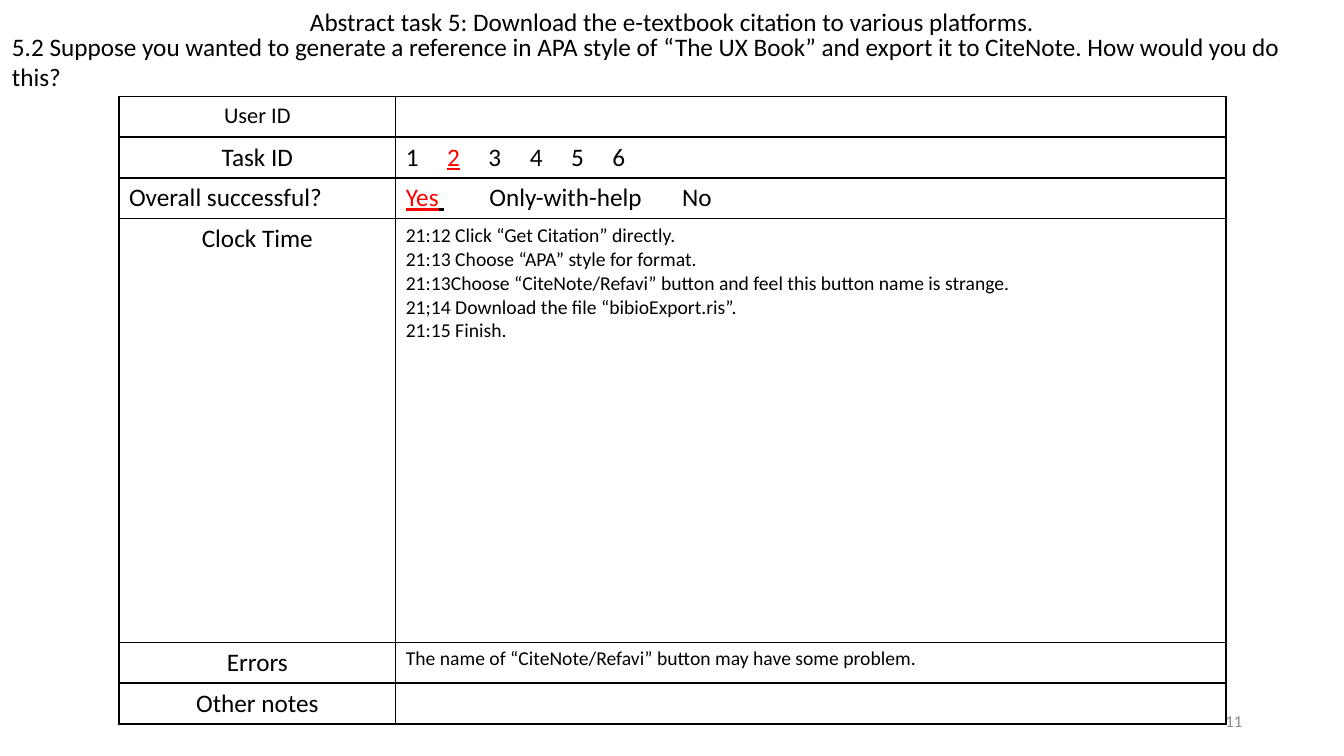
from dataclasses import dataclass

from lxml import etree
from pptx import Presentation
from pptx.dml.color import RGBColor
from pptx.enum import text
from pptx.oxml import ns
from pptx.util import Inches, Pt


@dataclass(frozen=True)
class Theme:
    """Colours, font and type sizes of the slide."""
    font: str = "Calibri"
    ink: str = "000000"
    chosen: str = "FF0000"
    muted: str = "8C8C8C"
    body: int = 18
    label: int = 16
    detail: int = 14
    number: int = 12


THEME = Theme()
CENTER, RIGHT = text.PP_ALIGN.CENTER, text.PP_ALIGN.RIGHT
MIDDLE = text.MSO_ANCHOR.MIDDLE
CHOSEN = {"color": THEME.chosen, "underline": True}

TITLE = "Abstract task 5: Download the e-textbook citation to various platforms."
QUESTION = ("5.2 Suppose you wanted to generate a reference in APA style of “The UX Book” "
            "and export it to CiteNote. How would you do this?")
CLOCK_LOG = [
    "21:12 Click “Get Citation” directly.",
    "21:13 Choose “APA” style for format.",
    "21:13Choose “CiteNote/Refavi” button and feel this button name is strange.",
    "21;14 Download the file “bibioExport.ris”.",
    "21:15 Finish.",
]
ERRORS = "The name of “CiteNote/Refavi” button may have some problem."
TASK_STOPS = [round(0.41 * step, 2) for step in range(1, 6)]
OUTCOME_STOPS = [0.83, 2.74]

ROWS = [
    (0.4, {"lines": ["User ID"], "size": THEME.label, "align": CENTER}, {"lines": [""]}),
    (0.4, {"lines": ["Task ID"], "align": CENTER},
     {"lines": [["1\t", ("2", CHOSEN), "\t3\t4\t5\t6"]], "stops": TASK_STOPS}),
    (0.4, {"lines": ["Overall successful?"]},
     {"lines": [[("Yes", CHOSEN), (" ", {"underline": True}), "\tOnly-with-help\tNo"]],
      "stops": OUTCOME_STOPS}),
    (4.2, {"lines": ["Clock Time"], "align": CENTER},
     {"lines": CLOCK_LOG, "size": THEME.detail}),
    (0.4, {"lines": ["Errors"], "align": CENTER},
     {"lines": [ERRORS], "size": THEME.detail}),
    (0.4, {"lines": ["Other notes"], "align": CENTER}, {"lines": [""]}),
]


def style(font, size, color=THEME.ink, underline=False):
    """Apply the theme font with the given format."""
    for name, value in {"name": THEME.font, "size": Pt(size), "underline": underline}.items():
        setattr(font, name, value)
    font.color.rgb = RGBColor.from_string(color)


def add_tab_stops(paragraph, stops):
    """Set left tab stops, in inches, on a paragraph."""
    tabs = etree.SubElement(paragraph._p.get_or_add_pPr(), ns.qn("a:tabLst"))
    for stop in stops:
        etree.SubElement(tabs, ns.qn("a:tab"), pos=str(Inches(stop)), algn="l")


def write(frame, lines, size=THEME.body, color=THEME.ink, align=None, stops=()):
    """Write one paragraph per line; a line is a string or a list of runs."""
    for index, line in enumerate(lines):
        paragraph = frame.add_paragraph() if index else frame.paragraphs[0]
        paragraph.alignment = align
        if stops:
            add_tab_stops(paragraph, stops)
        for part in [line] if isinstance(line, str) else line:
            words, look = (part, {}) if isinstance(part, str) else part
            run = paragraph.add_run()
            run.text = words
            style(run.font, size, **{"color": color, **look})


def outline(cell):
    """Draw a thin border on every side of a cell."""
    properties = cell._tc.get_or_add_tcPr()
    for index, side in enumerate(("lnL", "lnR", "lnT", "lnB")):
        line = etree.Element(ns.qn(f"a:{side}"), w=str(Pt(1)))
        fill = etree.SubElement(line, ns.qn("a:solidFill"))
        etree.SubElement(fill, ns.qn("a:srgbClr"), val=THEME.ink)
        properties.insert(index, line)


def add_text(slide, box, words, anchor=text.MSO_ANCHOR.TOP, **look):
    """Place a wrapped text box in the given box."""
    frame = slide.shapes.add_textbox(*map(Inches, box)).text_frame
    for name, value in {"word_wrap": True, "vertical_anchor": anchor}.items():
        setattr(frame, name, value)
    write(frame, [words], **look)


def add_header(slide, left, top, width):
    """Place the question with the task title above it."""
    add_text(slide, (left, top + 0.25, width, 0.4), QUESTION)
    add_text(slide, (left, top, width, 0.4), TITLE, align=CENTER)


def add_record(slide, left, top, width):
    """Place the observation table, a quarter of its width for labels."""
    height = sum(row[0] for row in ROWS)
    box = map(Inches, (left, top, width, height))
    record = slide.shapes.add_table(len(ROWS), 2, *box).table
    for name in ("first_row", "horz_banding"):
        setattr(record, name, False)
    for column, share in zip(record.columns, (0.25, 0.75)):
        column.width = Inches(width * share)
    for row, (row_height, *contents) in zip(record.rows, ROWS):
        row.height = Inches(row_height)
        for cell, content in zip(row.cells, contents):
            cell.fill.background()
            outline(cell)
            write(cell.text_frame, **content)


def main():
    """Build and save the slide."""
    deck = Presentation()
    deck.slide_width, deck.slide_height = Inches(13.33), Inches(7.5)
    slide = deck.slides.add_slide(deck.slide_layouts[6])
    add_record(slide, 1.18, 0.96, 10.98)
    add_header(slide, 0.02, 0.01, 13.29)
    add_text(slide, (9.42, 6.95, 3, 0.4), "11", anchor=MIDDLE,
             size=THEME.number, color=THEME.muted, align=RIGHT)
    deck.save("out.pptx")


if __name__ == "__main__":
    main()
